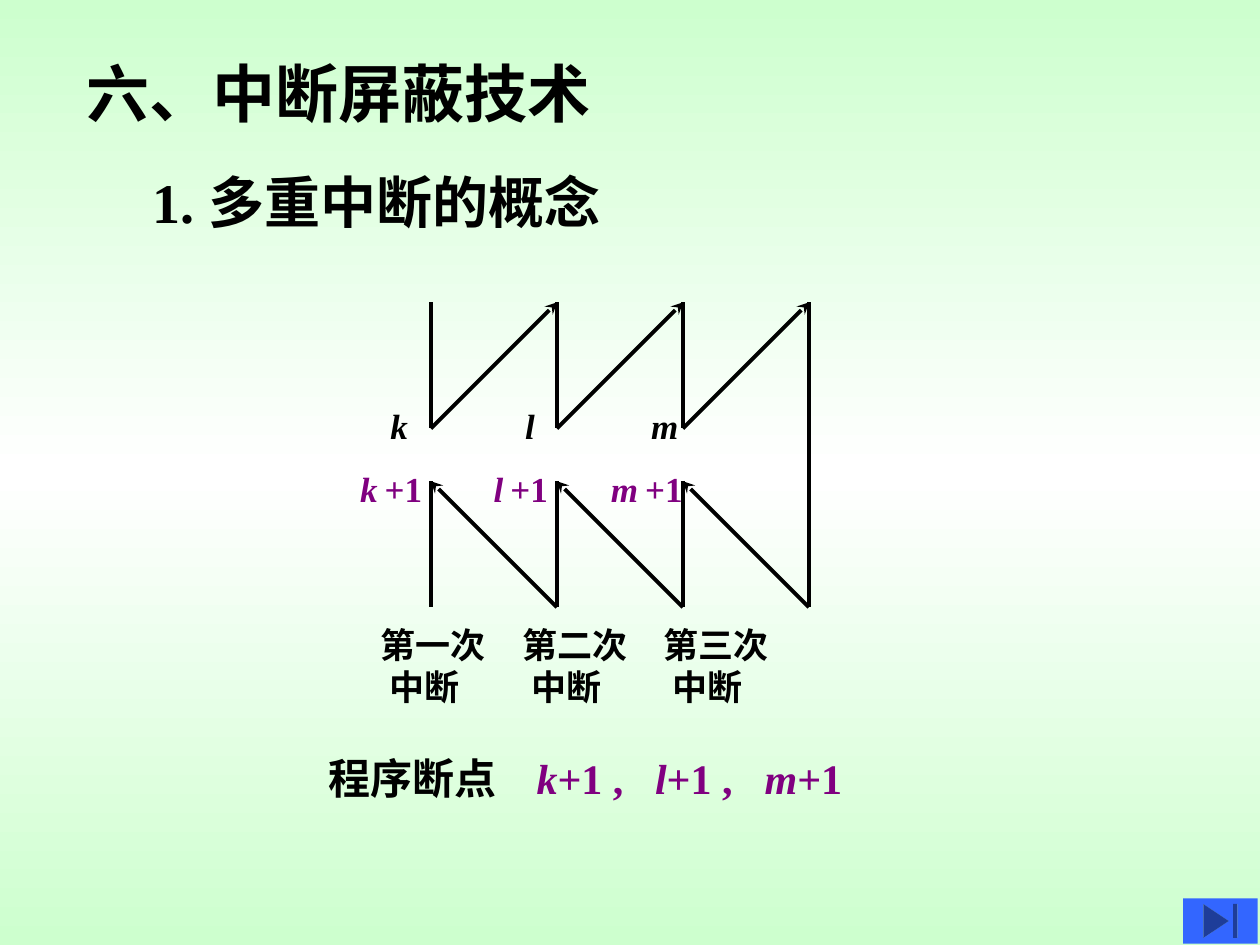
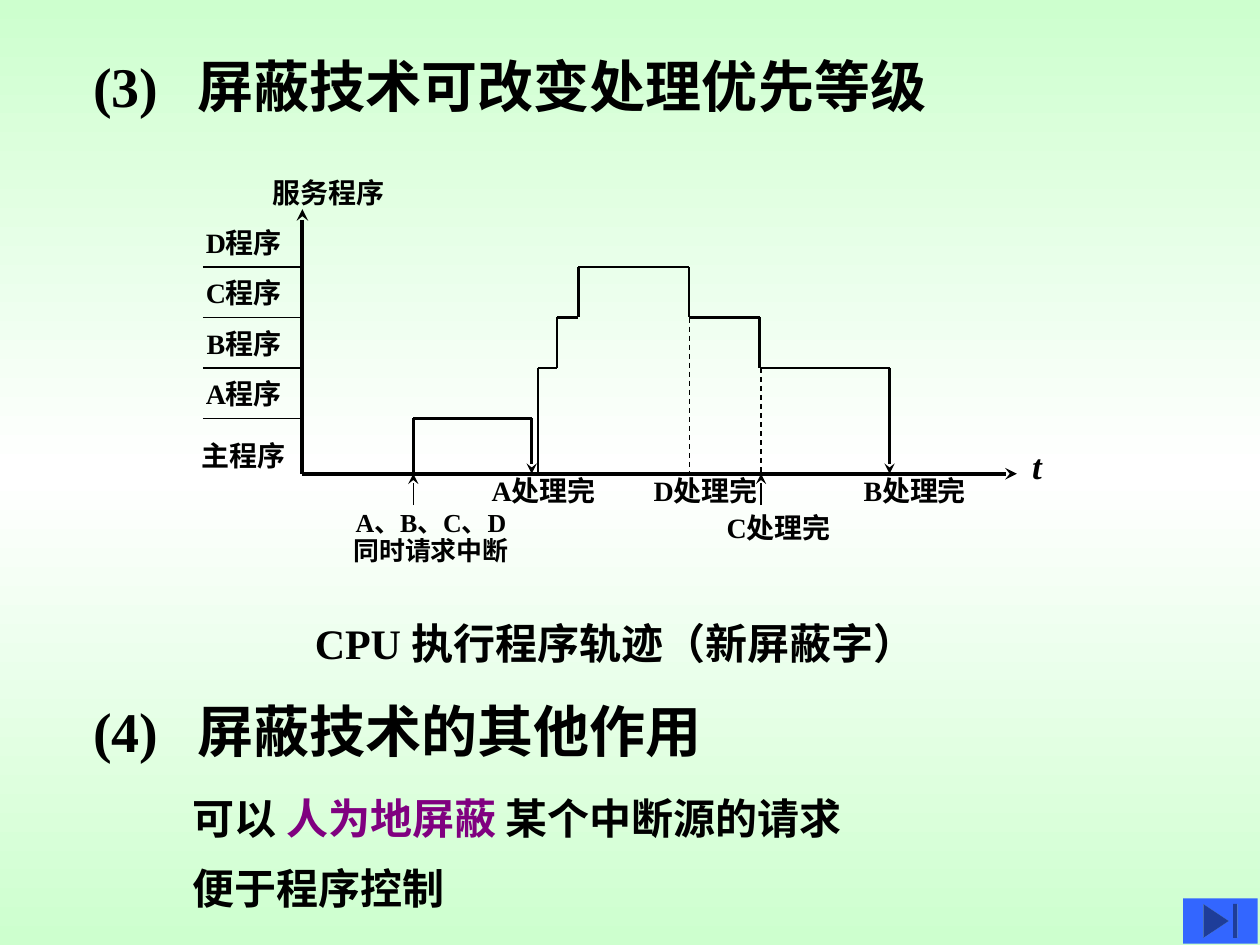
from dataclasses import dataclass
from itertools import pairwise

from lxml.etree import SubElement
from pptx import Presentation
from pptx.dml.color import RGBColor as RGB
from pptx.enum.dml import MSO_LINE
from pptx.enum.lang import MSO_LANGUAGE_ID as LANG
from pptx.enum.shapes import MSO_CONNECTOR, MSO_SHAPE
from pptx.enum.text import MSO_ANCHOR, MSO_AUTO_SIZE, PP_ALIGN
from pptx.oxml.ns import qn
from pptx.util import Inches, Pt


@dataclass(frozen=True)
class Theme:
    font: str = "Times New Roman"
    ink: str = "000000"
    accent: str = "800080"
    button: str = "3366FF"
    edge: str = "CDFFCE"
    middle: str = "FFFFFF"
    chapter: float = 36
    heading: float = 32
    body: float = 24
    label: float = 20
    tick: float = 16
    request: float = 14.8


theme = Theme()
ACCENT = {"color": theme.accent}
ACCENT_ITALIC = {"color": theme.accent, "italic": True}
FLAT = (0, 0, 0, 0)


def write(target, box, paragraphs, size, inset=(0.1, 0.05, 0.1, 0.05), align=PP_ALIGN.LEFT,
          anchor=MSO_ANCHOR.TOP, wrap=True, tabs=(), spacing=1.0, italic=False, indents=()):
    area = [Inches(length) for length in box]
    shape = target.shapes.add_textbox(*area) if hasattr(target, "shapes") else target
    shape.left, shape.top, shape.width, shape.height = area
    frame = shape.text_frame
    sides = dict(zip(("left", "top", "right", "bottom"), inset))
    for side, length in sides.items():
        setattr(frame, f"margin_{side}", Inches(length))
    for key, value in {"auto_size": MSO_AUTO_SIZE.NONE, "word_wrap": wrap, "vertical_anchor": anchor}.items():
        setattr(frame, key, value)
    for number, runs in enumerate(paragraphs):
        paragraph = frame.add_paragraph() if number else frame.paragraphs[0]
        properties = paragraph._p.get_or_add_pPr()
        if number < len(indents):
            properties.set("marL", str(Inches(indents[number])))
        if tabs:
            stops = SubElement(properties, qn("a:tabLst"))
            for stop in tabs:
                SubElement(stops, qn("a:tab"), pos=str(Inches(stop)), algn="l")
        paragraph.alignment = align
        paragraph.line_spacing = spacing
        for words, change in [(runs, {})] if isinstance(runs, str) else runs:
            run = paragraph.add_run()
            run.text = words
            look = {"name": theme.font, "size": Pt(change.get("size", size)), "bold": True,
                    "italic": change.get("italic", italic), "language_id": LANG.SIMPLIFIED_CHINESE}
            for key, value in look.items():
                setattr(run.font, key, value)
            run.font.color.rgb = RGB.from_string(change.get("color", theme.ink))


def draw(slide, start, end, width=2.25, arrow=False, dash=None):
    line = slide.shapes.add_connector(MSO_CONNECTOR.STRAIGHT, *(Inches(v) for v in (*start, *end)))
    line.line.color.rgb = RGB.from_string(theme.ink)
    line.line.width = Pt(width)
    if dash:
        line.line.dash_style = dash
    if arrow:
        SubElement(line.line._get_or_add_ln(), qn("a:tailEnd"), type="stealth")
    SubElement(line._element.spPr, qn("a:effectLst"))


prs = Presentation()
prs.slide_width, prs.slide_height = Inches(10), Inches(7.5)
backdrop = prs.slide_master.background.fill
backdrop.gradient()
backdrop.gradient_angle = 270
stops = prs.slide_master.element.find(".//" + qn("a:gsLst"))
for stop in list(stops):
    stops.remove(stop)
for share, color in ((0, theme.edge), (50, theme.middle), (100, theme.edge)):
    stop = SubElement(stops, qn("a:gs"), pos=str(share * 1000))
    SubElement(stop, qn("a:srgbClr"), val=color)

concept, priority = [prs.slides.add_slide(prs.slide_layouts[5]) for _ in range(2)]
heading = {"size": theme.heading, "inset": FLAT, "anchor": MSO_ANCHOR.MIDDLE}

write(concept.shapes.title, (0.59, 0.38, 5, 0.7), ["六、中断屏蔽技术"], theme.chapter)
write(concept, (1.21, 1.36, 4.5, 0.47), ["1. 多重中断的概念"], **heading)

columns = [3.42 + step for step in range(4)]
call_top, call_bottom, return_top, return_bottom = 2.4, 3.4, 3.82, 4.82
for left, right in pairwise(columns):
    draw(concept, (left, call_top), (left, call_bottom))
    draw(concept, (left, call_bottom), (right, call_top), arrow=True)
    draw(concept, (right, return_bottom), (left, return_top), arrow=True)
    draw(concept, (left, return_top), (left, return_bottom))
draw(concept, (columns[-1], call_top), (columns[-1], return_bottom))

interrupts = [("k", 3, 0.34, 2.76, 0.69, "第一次", 2.92),
              ("l", 4.07, 0.27, 3.82, 0.63, "第二次", 4.05),
              ("m", 5.07, 0.41, 4.75, 0.77, "第三次", 5.17)]
for name, at, width, next_at, next_width, order, order_at in interrupts:
    write(concept, (at, 3.16, width, 0.44), [name], theme.label, wrap=False, italic=True)
    resume = [(name, ACCENT_ITALIC), (" ", {"size": 16}), ("+1", ACCENT)]
    write(concept, (next_at, 3.66, next_width, 0.44), [resume], theme.label, wrap=False)
    write(concept, (order_at, 4.9, 1.1, 0.77), [order, "中断"], theme.label, indents=(0, 0.07))

breakpoints = [("程序断点\t", {})]
for name, ending in (("k", "+1 ,\t"), ("l", "+1 ,\t"), ("m", "+1")):
    breakpoints += [(name, ACCENT_ITALIC), (ending, ACCENT)]
write(concept, (2.51, 5.92, 4.82, 0.5), [breakpoints], theme.body, tabs=(1.65, 2.59, 3.46))

write(priority.shapes.title, (0.74, 0.44, 7.57, 0.47), ["(3)\t屏蔽技术可改变处理优先等级"], tabs=(0.83,), **heading)
write(priority, (0.74, 5.56, 5.9, 0.47), ["(4)\t屏蔽技术的其他作用"], tabs=(0.83,), **heading)
other_uses = [[("可以 ", {}), ("人为地屏蔽 ", ACCENT), ("某个中断源的请求", {})], "便于程序控制"]
for row, use in enumerate(other_uses):
    write(priority, (1.53, 6.24 + 0.56 * row, 6.9, 0.5), [use], theme.body, inset=(0, 0.05, 0.1, 0.05))

origin, main = 2.4, 3.76
level = {program: 3.32 - 0.4 * row for row, program in enumerate("ABCD")}
draw(priority, (origin, main), (8.07, main), arrow=True)
draw(priority, (origin, main), (origin, 1.66), arrow=True)
for height in level.values():
    draw(priority, (1.61, height), (origin, height), width=0.75)

first_run = [(3.28, main), (3.28, level["A"]), (4.22, level["A"]), (4.22, main)]
second_run = [(4.27, main)]
for program, start, end in (("B", 4.27, 4.42), ("C", 4.42, 4.59), ("D", 4.59, 5.47),
                            ("C", 5.47, 6.03), ("B", 6.03, 7.06)):
    second_run += [(start, level[program]), (end, level[program])]
second_run.append((7.06, main))
for trace in (first_run, second_run):
    for start, end in pairwise(trace):
        draw(priority, start, end, width=1.5, arrow=end == trace[-1])
for at, program in ((5.47, "C"), (6.04, "B")):
    draw(priority, (at, level[program]), (at, main), width=0.75, dash=MSO_LINE.DASH)
for at in (3.28, 6.04):
    draw(priority, (at, 4.01), (at, main), width=0.75, arrow=True)

axis_labels = [("服务程序", 2.02, 1.39, 1.17), ("主程序", 1.53, 3.48, 0.81),
               ("A处理完", 3.79, main, 1.05), ("D处理完", 5.1, main, 1),
               ("C处理完", 5.7, 4.05, 0.96), ("B处理完", 6.69, main, 1.14)]
axis_labels += [(f"{program}程序", 1.53, height - 0.33, 0.81) for program, height in level.items()]
centred = {"inset": FLAT, "align": PP_ALIGN.CENTER}
for words, left, top, width in axis_labels:
    write(priority, (left, top, width, 0.36), [words], theme.tick, **centred)
write(priority, (8, 3.53, 0.46, 0.36), ["t"], theme.label, italic=True, **centred)
write(priority, (2.63, 4.05, 1.58, 0.56), ["A、B、C、D", "同时请求中断"], theme.request, spacing=0.9, **centred)
write(priority, (origin, 4.85, 5.67, 0.5), ["CPU 执行程序轨迹（新屏蔽字）"], theme.body)

for slide in (concept, priority):
    skip = slide.shapes.add_shape(MSO_SHAPE.ACTION_BUTTON_END, *(Inches(v) for v in (9.39, 7.13, 0.59, 0.36)))
    skip.shadow.inherit = False
    skip.fill.solid()
    skip.fill.fore_color.rgb = RGB.from_string(theme.button)
    skip.line.fill.background()

prs.save("out.pptx")
